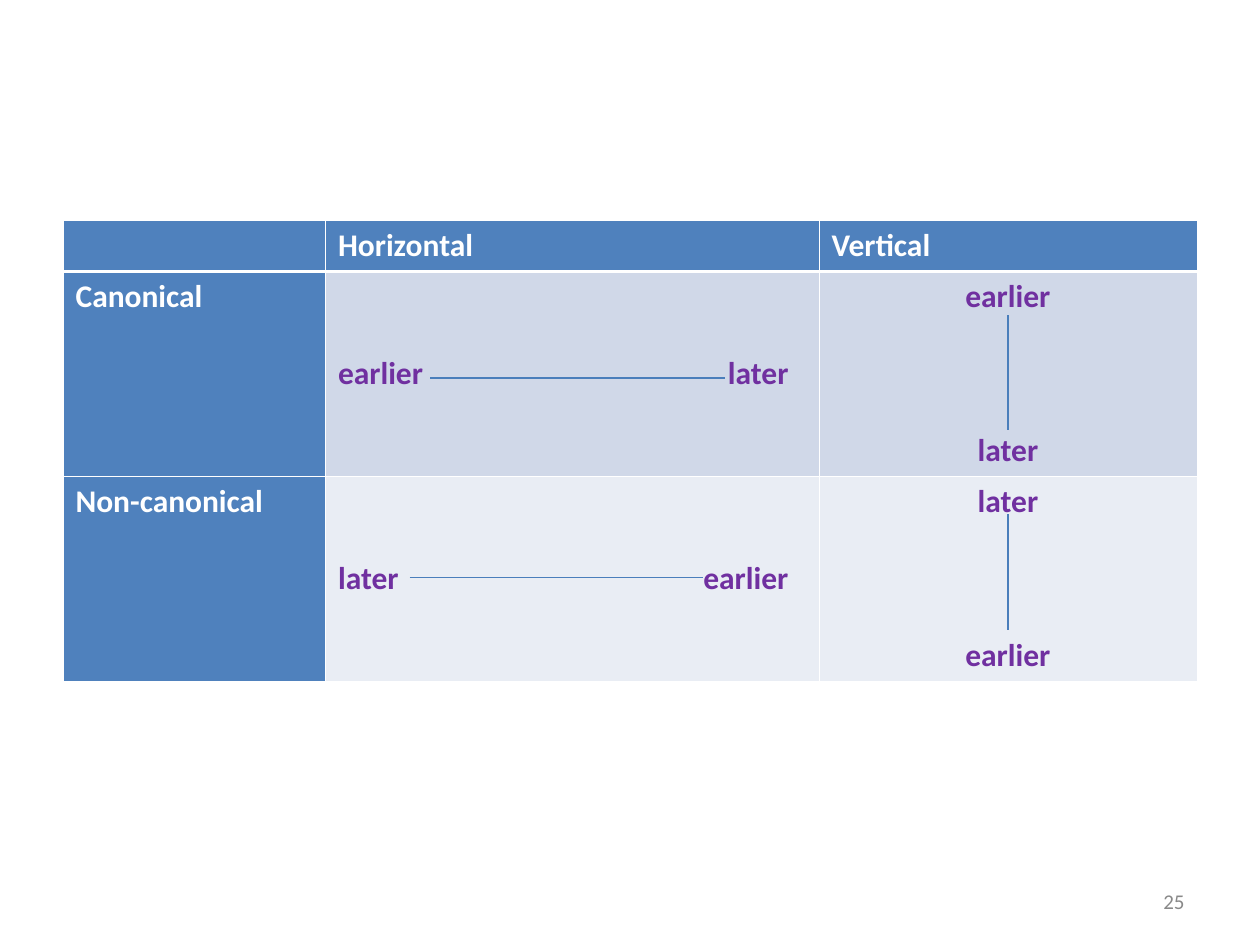
from dataclasses import dataclass

from lxml.etree import SubElement
from pptx import Presentation
from pptx.dml.color import RGBColor
from pptx.enum.shapes import MSO_CONNECTOR as Connector
from pptx.enum.text import MSO_ANCHOR as Anchor, PP_ALIGN as Align
from pptx.oxml.ns import qn
from pptx.util import Inches, Pt

FONT = "Calibri"
WHITE, BLUE, PURPLE, GREY, LINE = "FFFFFF", "4F81BD", "7030A0", "898989", "4A7EBB"
BANDS = ("D0D8E8", "E9EDF4")
COLUMNS = (25, 47, 36)
ROWS = (4.8, 19.5, 19.5)
THIN, THICK = 0.45, 1.47
RIGHT_WORD = 42.9  # right-aligned tab stop, in grid units
WORD_GAP = 66  # points between the upper and lower word


@dataclass(frozen=True)
class Order:
    """One table row: its label and the two words in reading order."""
    label: str
    first: str
    second: str


@dataclass(frozen=True)
class Timeline:
    x1: float
    y1: float
    x2: float
    y2: float


ORDERS = (
    Order("Canonical", "earlier", "later"),
    Order("Non-canonical", "later", "earlier"),
)
TIMELINES = (
    Timeline(41, 36, 69, 36),
    Timeline(39, 55, 67, 55),
    Timeline(96, 30, 96, 41),
    Timeline(96, 49, 96, 60),
)


def units(n: float) -> int:
    """Length of n grid units; the slide is 120 columns by 90 rows."""
    return Inches(n / 12)


def color(value: str) -> RGBColor:
    return RGBColor.from_string(value)


def add_run(p, text: str, hue: str, size: float = 18, bold: bool = True) -> None:
    r = p.add_run()
    r.text = text
    r.font.name, r.font.size, r.font.bold = FONT, Pt(size), bold
    r.font.color.rgb = color(hue)


def add_right_tab(p, position: float) -> None:
    tabs = SubElement(p._p.get_or_add_pPr(), qn("a:tabLst"))
    SubElement(tabs, qn("a:tab"), pos=str(units(position)), algn="r")


def style_cell(cell, fill: str, top: float, bottom: float) -> None:
    """Draw the white borders, then the fill, as the schema orders them."""
    tc_pr = cell._tc.get_or_add_tcPr()
    for side, width in (("L", THIN), ("R", THIN), ("T", top), ("B", bottom)):
        ln = SubElement(tc_pr, qn(f"a:ln{side}"), w=str(Pt(width)))
        SubElement(SubElement(ln, qn("a:solidFill")), qn("a:srgbClr"), val=WHITE)
    cell.fill.solid()
    cell.fill.fore_color.rgb = color(fill)


def fill_horizontal(cell, order: Order) -> None:
    cell.vertical_anchor = Anchor.MIDDLE
    p = cell.text_frame.paragraphs[0]
    add_right_tab(p, RIGHT_WORD)
    add_run(p, f"{order.first}\t{order.second}", PURPLE)


def fill_vertical(cell, order: Order) -> None:
    tf = cell.text_frame
    upper, lower = tf.paragraphs[0], tf.add_paragraph()
    lower.space_before = Pt(WORD_GAP)
    for p, word in ((upper, order.first), (lower, order.second)):
        p.alignment = Align.CENTER
        add_run(p, word, PURPLE)


def add_order_table(slide) -> None:
    frame = slide.shapes.add_table(len(ROWS), len(COLUMNS), units(6), units(21),
                                   units(sum(COLUMNS)), units(sum(ROWS)))
    table = frame.table
    for column, width in zip(table.columns, COLUMNS):
        column.width = units(width)
    for row, height in zip(table.rows, ROWS):
        row.height = units(height)
    for i, row in enumerate(table.rows):
        for j, cell in enumerate(row.cells):
            fill = BLUE if i == 0 or j == 0 else BANDS[i - 1]
            style_cell(cell, fill, THICK if i == 1 else THIN, THICK if i == 0 else THIN)
    for j, heading in enumerate(("Horizontal", "Vertical"), start=1):
        add_run(table.cell(0, j).text_frame.paragraphs[0], heading, WHITE)
    for i, order in enumerate(ORDERS, start=1):
        add_run(table.cell(i, 0).text_frame.paragraphs[0], order.label, WHITE)
        fill_horizontal(table.cell(i, 1), order)
        fill_vertical(table.cell(i, 2), order)


def add_page_number(slide, number: str) -> None:
    tf = slide.shapes.add_textbox(units(86), units(83.4), units(28), units(4.8)).text_frame
    tf.word_wrap = True
    tf.vertical_anchor = Anchor.MIDDLE
    p = tf.paragraphs[0]
    p.alignment = Align.RIGHT
    add_run(p, number, GREY, size=12, bold=False)


def add_timeline(slide, t: Timeline) -> None:
    line = slide.shapes.add_connector(Connector.STRAIGHT, units(t.x1), units(t.y1),
                                      units(t.x2), units(t.y2))
    line.line.color.rgb = color(LINE)
    line.line.width = Pt(0.75)
    SubElement(line._element.spPr, qn("a:effectLst"))


def main() -> None:
    prs = Presentation()
    prs.slide_width, prs.slide_height = units(120), units(90)
    slide = prs.slides.add_slide(prs.slide_layouts[6])
    add_order_table(slide)
    add_page_number(slide, "25")
    for timeline in TIMELINES:
        add_timeline(slide, timeline)
    prs.save("out.pptx")


if __name__ == "__main__":
    main()
